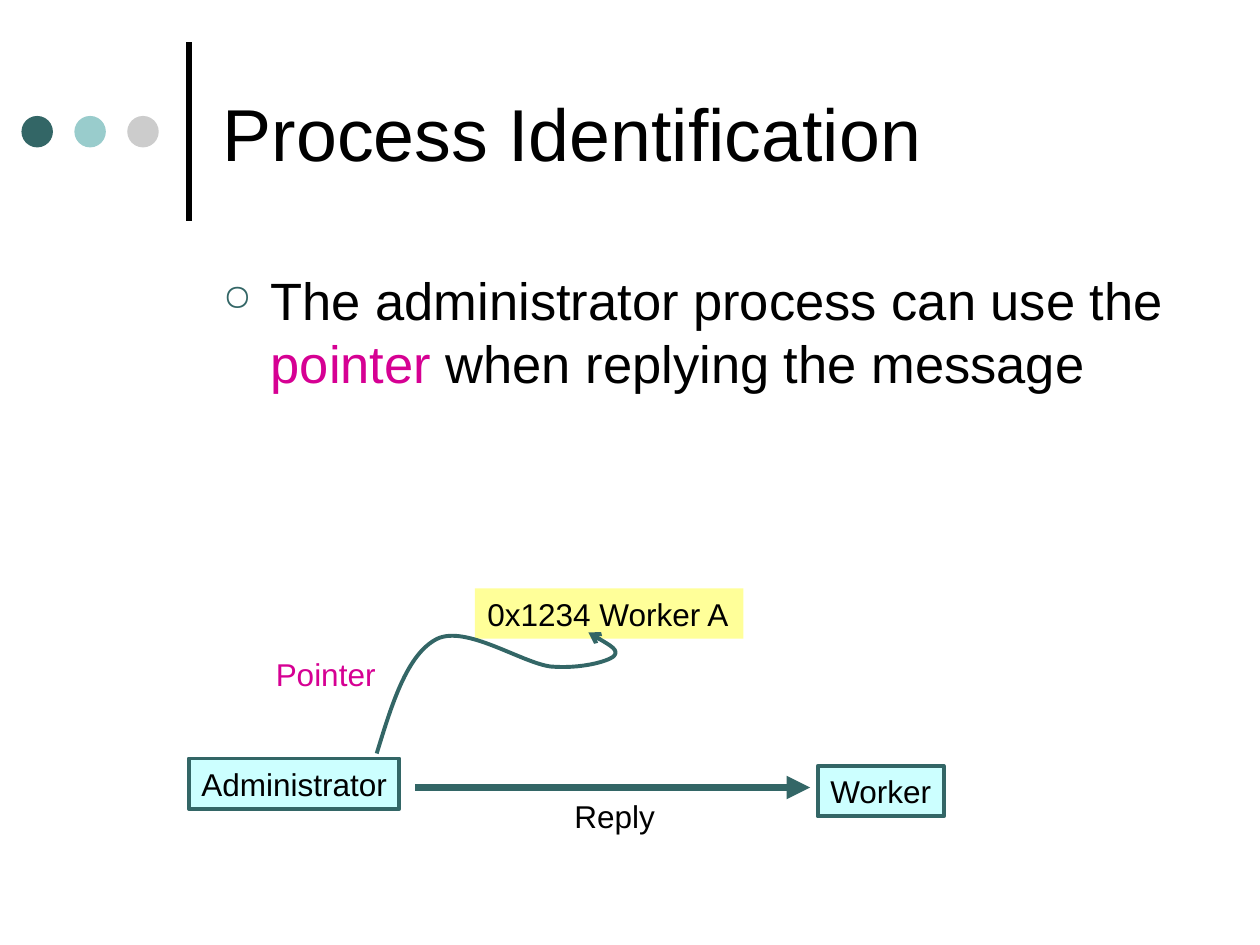
from typing import NamedTuple

from lxml import etree
from pptx import Presentation
from pptx.dml.color import RGBColor
from pptx.enum.shapes import MSO_CONNECTOR, MSO_SHAPE
from pptx.enum.text import MSO_ANCHOR, PP_ALIGN
from pptx.oxml.ns import qn
from pptx.util import Inches, Pt

RECT, OVAL = MSO_SHAPE.RECTANGLE, MSO_SHAPE.OVAL
STRAIGHT = MSO_CONNECTOR.STRAIGHT
TOP, MIDDLE = MSO_ANCHOR.TOP, MSO_ANCHOR.MIDDLE
LEFT, CENTER = PP_ALIGN.LEFT, PP_ALIGN.CENTER

# The slide is a grid of 100 columns by 75 rows
COLS, ROWS = 100, 75
WIDTH, HEIGHT = Inches(10), Inches(7.5)
FONT = "Arial"
COLORS = {
    "black": "000000",
    "teal": "336666",
    "aqua": "99CCCC",
    "gray": "CCCCCC",
    "cyan": "CCFFFF",
    "yellow": "FFFF99",
    "pink": "D60093",
}


class Area(NamedTuple):
    col: float
    row: float
    cols: float
    rows: float


class Label(NamedTuple):
    text: str
    area: Area
    fill: str = ""
    edge: str = ""
    ink: str = "black"


LABELS = [
    Label("Administrator", Area(15, 60.2, 16.7, 4), "cyan", "teal"),
    Label("Worker", Area(64.9, 60.8, 10, 4), "cyan", "teal"),
    Label("0x1234 Worker A", Area(37.7, 46.7, 21.3, 4), "yellow"),
    Label("Pointer", Area(20.9, 51.5, 9.9, 4), ink="pink"),
    Label("Reply", Area(44.6, 62.8, 8.4, 4)),
]
# Start point, then two handles and an end point for each bend
CURVE = [
    (29.9, 59.8),
    (31.1, 55.9), (32.3, 51.9), (34.7, 50.7),
    (37, 49.6), (41.4, 52.6), (43.7, 52.9),
    (46.1, 53.1), (48.2, 52.5), (48.7, 52.1),
    (49.2, 51.6), (47.9, 50.9), (46.7, 50.2),
]


def x(col: float) -> int:
    return round(WIDTH * col / COLS)


def y(row: float) -> int:
    return round(HEIGHT * row / ROWS)


def box(area: Area) -> tuple[int, int, int, int]:
    return x(area.col), y(area.row), x(area.cols), y(area.rows)


def color(name: str) -> RGBColor:
    return RGBColor.from_string(COLORS[name])


def stroke(shape, name: str, width: float) -> None:
    shape.line.color.rgb = color(name)
    shape.line.width = Pt(width)


def tip(shape, end: str, kind: str) -> None:
    etree.SubElement(shape.line._get_or_add_ln(), qn(f"a:{end}"), type=kind)


def add_line(slide, start: tuple, end: tuple, name: str, width: float):
    line = slide.shapes.add_connector(
        STRAIGHT, x(start[0]), y(start[1]), x(end[0]), y(end[1]))
    stroke(line, name, width)
    etree.SubElement(line._element.spPr, qn("a:effectLst"))
    return line


def add_shape(slide, kind, area: Area, fill: str, edge: str = ""):
    shape = slide.shapes.add_shape(kind, *box(area))
    shape.shadow.inherit = False
    shape.fill.solid()
    shape.fill.fore_color.rgb = color(fill)
    if edge:
        stroke(shape, edge, 2.25)
    else:
        shape.line.fill.background()
    return shape


def write(shape, runs: list, size: float, anchor=TOP, align=LEFT, wrap=True):
    frame = shape.text_frame
    frame.word_wrap = wrap
    frame.vertical_anchor = anchor
    para = frame.paragraphs[0]
    para.alignment = align
    para.font.name, para.font.size = FONT, Pt(size)
    for text, ink in runs:
        run = para.add_run()
        run.text = text
        run.font.color.rgb = color(ink)
    return para


def add_label(slide, label: Label) -> None:
    if label.fill:
        shape = add_shape(slide, RECT, label.area, label.fill, label.edge)
    else:
        shape = slide.shapes.add_textbox(*box(label.area))
    anchor, align = (MIDDLE, CENTER) if label.edge else (TOP, LEFT)
    write(shape, [(label.text, label.ink)], 18, anchor, align, wrap=False)


def add_bullet(para) -> None:
    props = para._p.get_or_add_pPr()
    props.set("marL", str(Inches(0.38)))
    props.set("indent", str(-Inches(0.38)))
    tint = etree.Element(qn("a:buClr"))
    etree.SubElement(tint, qn("a:srgbClr"), val=COLORS["teal"])
    size = etree.Element(qn("a:buSzPct"), val="70000")
    mark = etree.Element(qn("a:buChar"), char="○")
    spot = props.index(props.find(qn("a:defRPr")))
    props[spot:spot] = [tint, size, mark]


def add_curve(slide, points: list) -> None:
    spots = [(x(col), y(row)) for col, row in points]
    pen = slide.shapes.build_freeform(*spots[0])
    pen.add_line_segments(spots[1:], close=False)
    curve = pen.convert_to_shape()
    curve.shadow.inherit = False
    curve.fill.background()
    stroke(curve, "teal", 2.25)
    tip(curve, "tailEnd", "arrow")
    # Join every three straight steps into one bend
    steps = list(curve._element.iter(qn("a:lnTo")))
    for i in range(0, len(steps), 3):
        bend = etree.Element(qn("a:cubicBezTo"))
        steps[i].addprevious(bend)
        for step in steps[i:i + 3]:
            bend.append(step[0])
            step.getparent().remove(step)


def main() -> None:
    deck = Presentation()
    deck.slide_width, deck.slide_height = WIDTH, HEIGHT
    slide = deck.slides.add_slide(deck.slide_layouts[6])

    # Header rule and dots
    add_line(slide, (15, 17.5), (15, 3.3), "black", 3)
    for i, name in enumerate(["teal", "aqua", "gray"]):
        add_shape(slide, OVAL, Area(1.7 + 4.2 * i, 9.2, 2.5, 2.5), name)

    # Title and bullet
    title = slide.shapes.add_textbox(*box(Area(16.7, 2.1, 76.7, 16.7)))
    write(title, [("Process Identification", "black")], 42, MIDDLE)
    body = slide.shapes.add_textbox(*box(Area(16.7, 20.8, 76.7, 45)))
    para = write(body, [
        ("The administrator process can use the ", "black"),
        ("pointer", "pink"),
        (" when replying the message", "black"),
    ], 30)
    para.space_before = Pt(7.5)
    add_bullet(para)

    # Message diagram
    for label in LABELS:
        add_label(slide, label)
    reply = add_line(slide, (64.3, 62.5), (32.9, 62.5), "teal", 4.5)
    tip(reply, "headEnd", "triangle")
    add_curve(slide, CURVE)

    deck.save("out.pptx")


if __name__ == "__main__":
    main()
